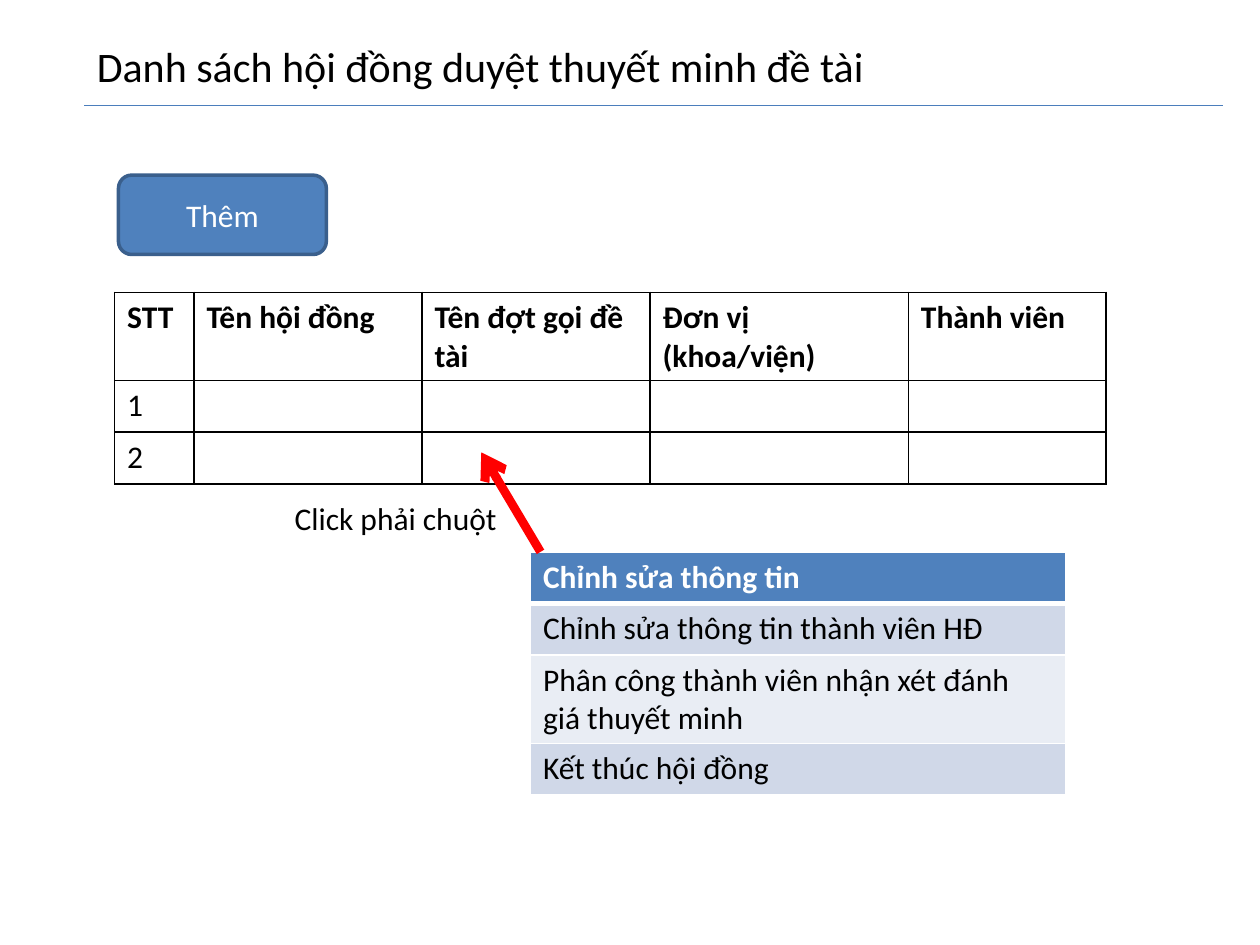
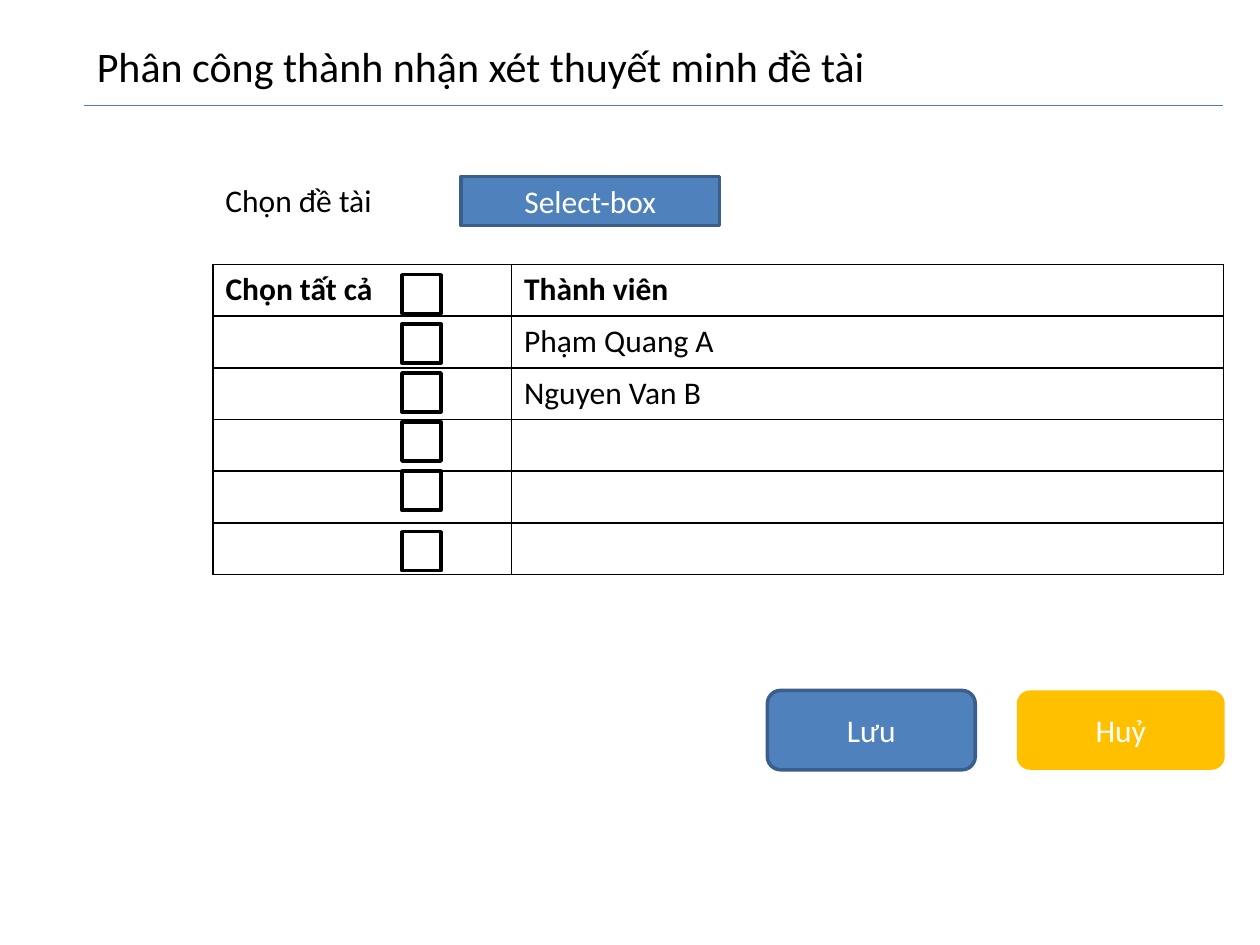
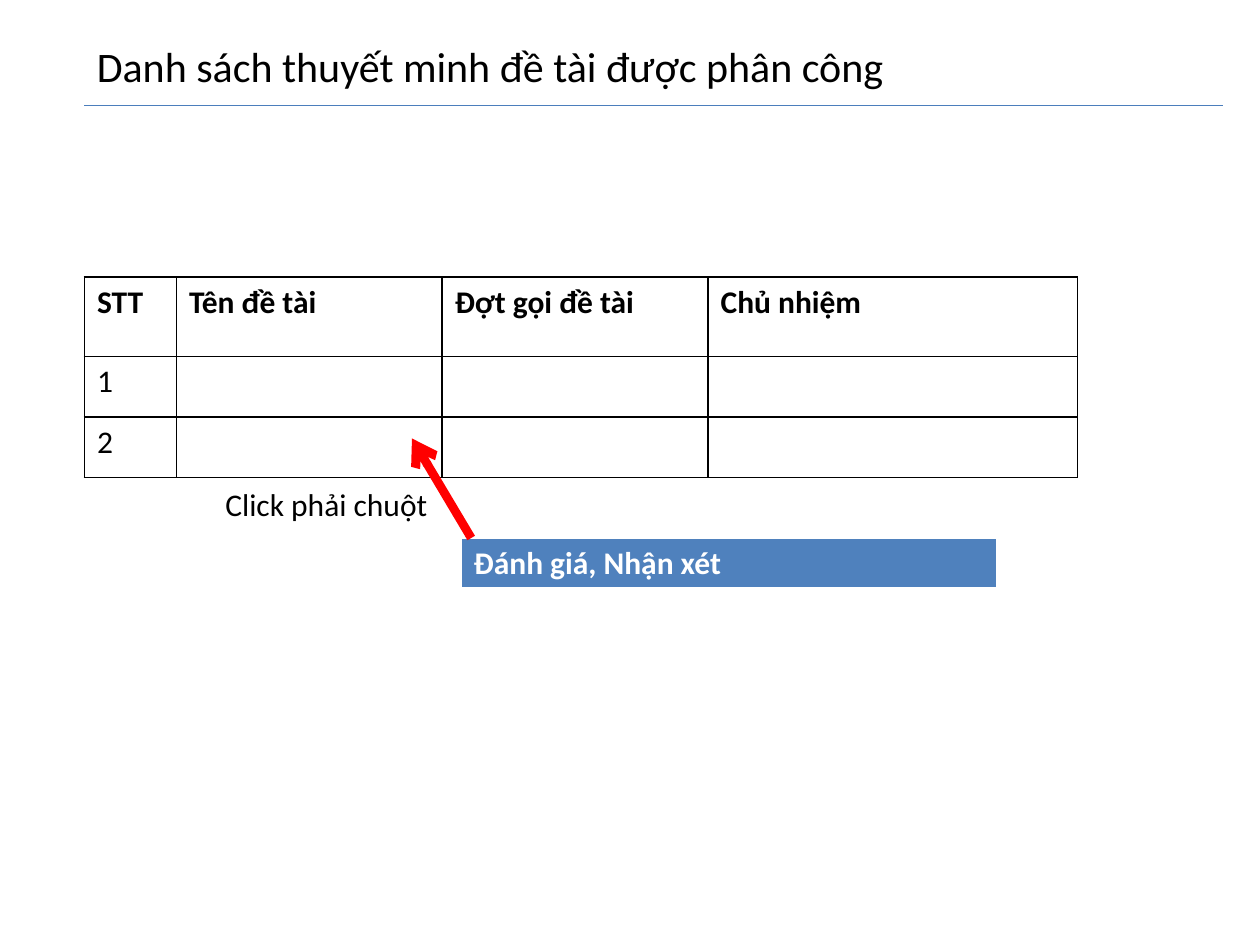
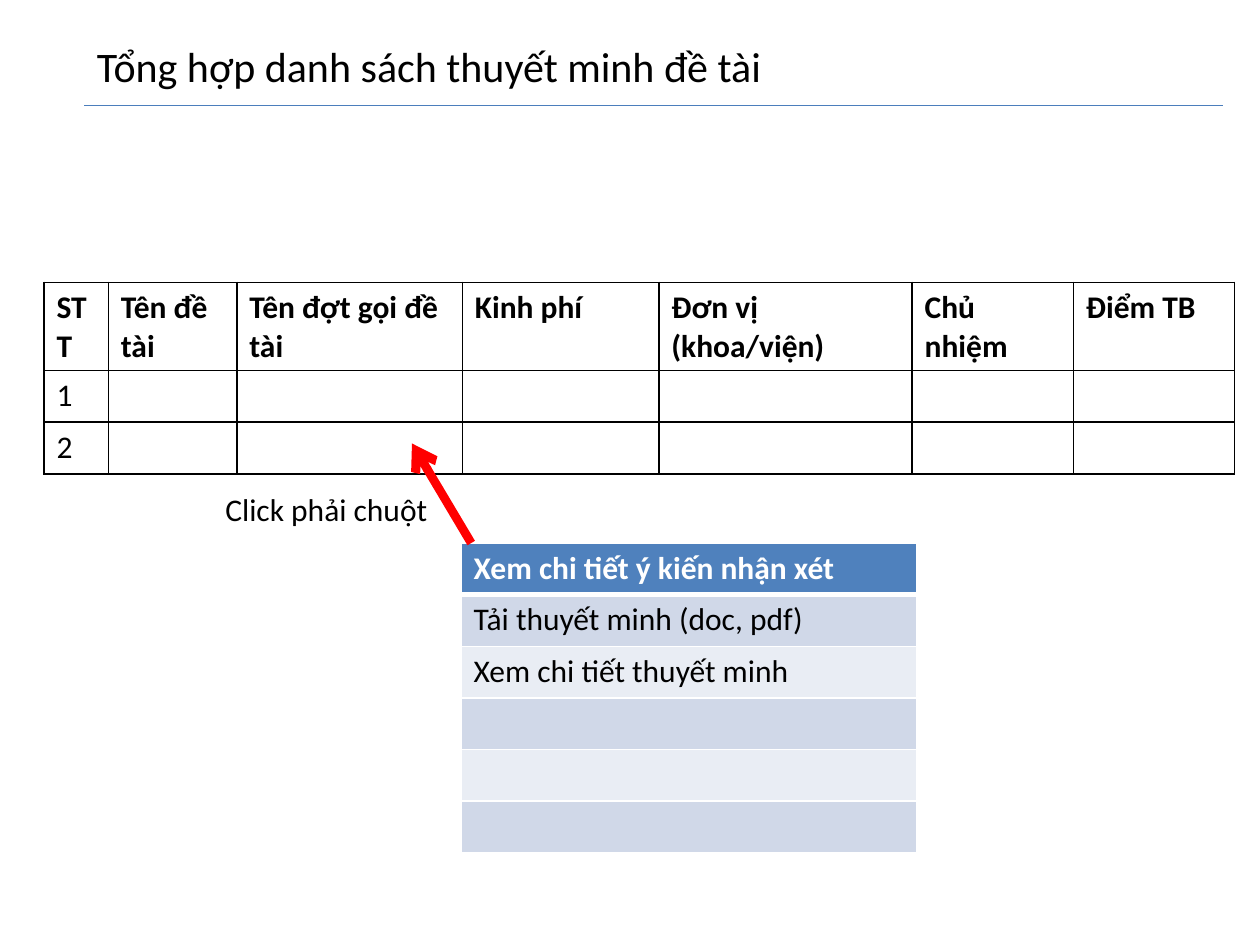
from lxml.etree import SubElement
from pptx import Presentation
from pptx.dml.color import RGBColor
from pptx.enum.shapes import MSO_CONNECTOR, MSO_SHAPE
from pptx.enum.text import MSO_ANCHOR, PP_ALIGN
from pptx.oxml.ns import qn
from pptx.util import Inches, Pt

FONT = "Calibri"
BLACK, WHITE, RED, AMBER = "000000", "FFFFFF", "FF0000", "FFC000"
BLUE, BLUE_EDGE, RULE = "4F81BD", "3A5F8C", "4B7EBC"
BANDS = ("D0D8E8", "E9EDF4")
ROW = 0.41


def color(value):
    """Turn a hex string into a colour."""
    return RGBColor.from_string(value)


def set_borders(cell, tint, top=1, bottom=1):
    """Draw the four edges of a table cell."""
    properties = cell._tc.get_or_add_tcPr()
    for side, width in (("L", 1), ("R", 1), ("T", top), ("B", bottom)):
        edge = SubElement(properties, qn(f"a:ln{side}"), w=str(Pt(width)))
        fill = SubElement(edge, qn("a:solidFill"))
        SubElement(fill, qn("a:srgbClr"), val=tint)


class Deck:
    """Holds the style and the current slide."""

    def __init__(self):
        """Start an empty deck of 10 by 7.5 inch slides."""
        self.deck = Presentation()
        self.deck.slide_width = Inches(10)
        self.deck.slide_height = Inches(7.5)
        self.page = None

    def new_page(self, title):
        """Add a blank slide with the ruled title."""
        self.page = self.deck.slides.add_slide(self.deck.slide_layouts[6])
        self.text(title, 0.67, 0.27, 9.04, 0.5, size=24)
        self.line((0.67, 0.84), (9.71, 0.84), RULE, 0.75)

    def fill_text(self, frame, words, tint=BLACK, size=18, bold=False):
        """Put one styled paragraph in a text frame."""
        paragraph = frame.paragraphs[0]
        paragraph.text = words
        font = paragraph.font
        font.name, font.size, font.bold = FONT, Pt(size), bold
        font.color.rgb = color(tint)
        return paragraph

    def text(self, words, left, top, width, height=0.4, size=18):
        """Add a wrapped text box."""
        box = self.page.shapes.add_textbox(
            Inches(left), Inches(top), Inches(width), Inches(height))
        box.text_frame.word_wrap = True
        self.fill_text(box.text_frame, words, size=size)

    def line(self, start, end, tint, width, arrow=False):
        """Add a straight line, with an arrowhead at its end if asked."""
        points = [Inches(value) for value in (*start, *end)]
        line = self.page.shapes.add_connector(MSO_CONNECTOR.STRAIGHT, *points)
        line.line.color.rgb = color(tint)
        line.line.width = Pt(width)
        if arrow:
            SubElement(line.line._get_or_add_ln(), qn("a:tailEnd"), type="arrow")
        SubElement(line._element.spPr, qn("a:effectLst"))

    def shape(self, kind, left, top, width, height, fill=None, edge=None):
        """Add a preset shape with an optional fill and edge."""
        shape = self.page.shapes.add_shape(
            kind, Inches(left), Inches(top), Inches(width), Inches(height))
        shape.shadow.inherit = False
        if fill:
            shape.fill.solid()
            shape.fill.fore_color.rgb = color(fill)
        else:
            shape.fill.background()
        if edge:
            shape.line.color.rgb = color(edge)
            shape.line.width = Pt(2)
        else:
            shape.line.fill.background()
        return shape

    def button(self, words, left, top, width=1.65, height=0.63,
               kind=MSO_SHAPE.ROUNDED_RECTANGLE, fill=BLUE, edge=BLUE_EDGE):
        """Add a shape with a centred white caption."""
        button = self.shape(kind, left, top, width, height, fill, edge)
        button.text_frame.word_wrap = True
        button.text_frame.vertical_anchor = MSO_ANCHOR.MIDDLE
        self.fill_text(button.text_frame, words, WHITE).alignment = PP_ALIGN.CENTER

    def grid(self, left, top, widths, heights):
        """Add a table without style flags and size its rows and columns."""
        frame = self.page.shapes.add_table(
            len(heights), len(widths), Inches(left), Inches(top),
            Inches(sum(widths)), Inches(sum(heights)))
        table = frame.table
        table.first_row = table.horz_banding = False
        for column, width in zip(table.columns, widths):
            column.width = Inches(width)
        for row, height in zip(table.rows, heights):
            row.height = Inches(height)
        return table

    def table(self, left, top, widths, rows, heights=None):
        """Add an outlined table with a bold first row."""
        table = self.grid(left, top, widths, heights or [ROW] * len(rows))
        for index, row in enumerate(rows):
            for column in range(len(widths)):
                cell = table.cell(index, column)
                set_borders(cell, BLACK)
                cell.fill.background()
                words = row[column] if column < len(row) else ""
                self.fill_text(cell.text_frame, words, bold=index == 0)

    def menu(self, left, top, width, entries):
        """Add a right-click menu with its arrow and label."""
        table = self.grid(left, top, [width], [ROW] * len(entries))
        for index, words in enumerate(entries):
            cell = table.cell(index, 0)
            header = index == 0
            set_borders(cell, WHITE, 3 if index == 1 else 1, 3 if header else 1)
            cell.fill.solid()
            cell.fill.fore_color.rgb = color(BLUE if header else BANDS[(index - 1) % 2])
            self.fill_text(cell.text_frame, words, WHITE if header else BLACK, bold=header)
        self.line((left + 0.08, top), (left - 0.39, top - 0.79), RED, 5, arrow=True)
        self.text("Click phải chuột", left - 1.97, top - 0.47, 1.97)


def main():
    """Build the four slides."""
    deck = Deck()

    deck.new_page("Danh sách hội đồng duyệt thuyết minh đề tài")
    deck.table(0.91, 2.32, [0.63, 1.81, 1.81, 2.05, 1.57], [
        ["STT", "Tên hội đồng", "Tên đợt gọi đề tài", "Đơn vị (khoa/viện)", "Thành viên"],
        ["1"], ["2"]])
    deck.button("Thêm", 0.94, 1.39)
    deck.menu(4.21, 4.38, 4.25, [
        "Chỉnh sửa thông tin", "Chỉnh sửa thông tin thành viên HĐ",
        "Phân công thành viên nhận xét đánh giá thuyết minh", "Kết thúc hội đồng"])

    deck.new_page("Phân công thành nhận xét thuyết minh đề tài")
    deck.button("Select-box", 3.66, 1.4, 2.05, 0.39, MSO_SHAPE.RECTANGLE)
    deck.text("Chọn đề tài", 1.69, 1.39, 2.28)
    deck.button("Lưu", 6.09, 5.48)
    deck.button("Huỷ", 8.07, 5.48, fill=AMBER, edge=None)
    deck.table(1.69, 2.1, [2.37, 5.65], [
        ["Chọn tất cả", "Thành viên"], ["", "Phạm Quang A"], ["", "Nguyen Van B"],
        [], [], []])
    for checkbox_top in [2.18 + 0.39 * index for index in range(5)] + [4.22]:
        deck.shape(MSO_SHAPE.RECTANGLE, 3.19, checkbox_top, 0.31, 0.31, edge=BLACK)

    deck.new_page("Danh sách thuyết minh đề tài được phân công")
    deck.table(0.67, 2.2, [0.73, 2.11, 2.11, 2.93], [
        ["STT", "Tên đề tài", "Đợt gọi đề tài", "Chủ nhiệm"], ["1"], ["2"]],
        [0.63, 0.48, 0.48])
    deck.menu(3.66, 4.27, 4.25, ["Đánh giá, Nhận xét"])

    deck.new_page("Tổng hợp danh sách thuyết minh đề tài")
    deck.table(0.35, 2.24, [0.51, 1.02, 1.79, 1.56, 2.01, 1.28, 1.28], [
        ["STT", "Tên đề tài", "Tên đợt gọi đề tài", "Kinh phí",
         "Đơn vị (khoa/viện)", "Chủ nhiệm", "Điểm TB"],
        ["1"], ["2"]])
    deck.menu(3.66, 4.31, 3.62, [
        "Xem chi tiết ý kiến nhận xét", "Tải thuyết minh (doc, pdf)",
        "Xem chi tiết thuyết minh", "", "", ""])

    deck.deck.save("out.pptx")


if __name__ == "__main__":
    main()
